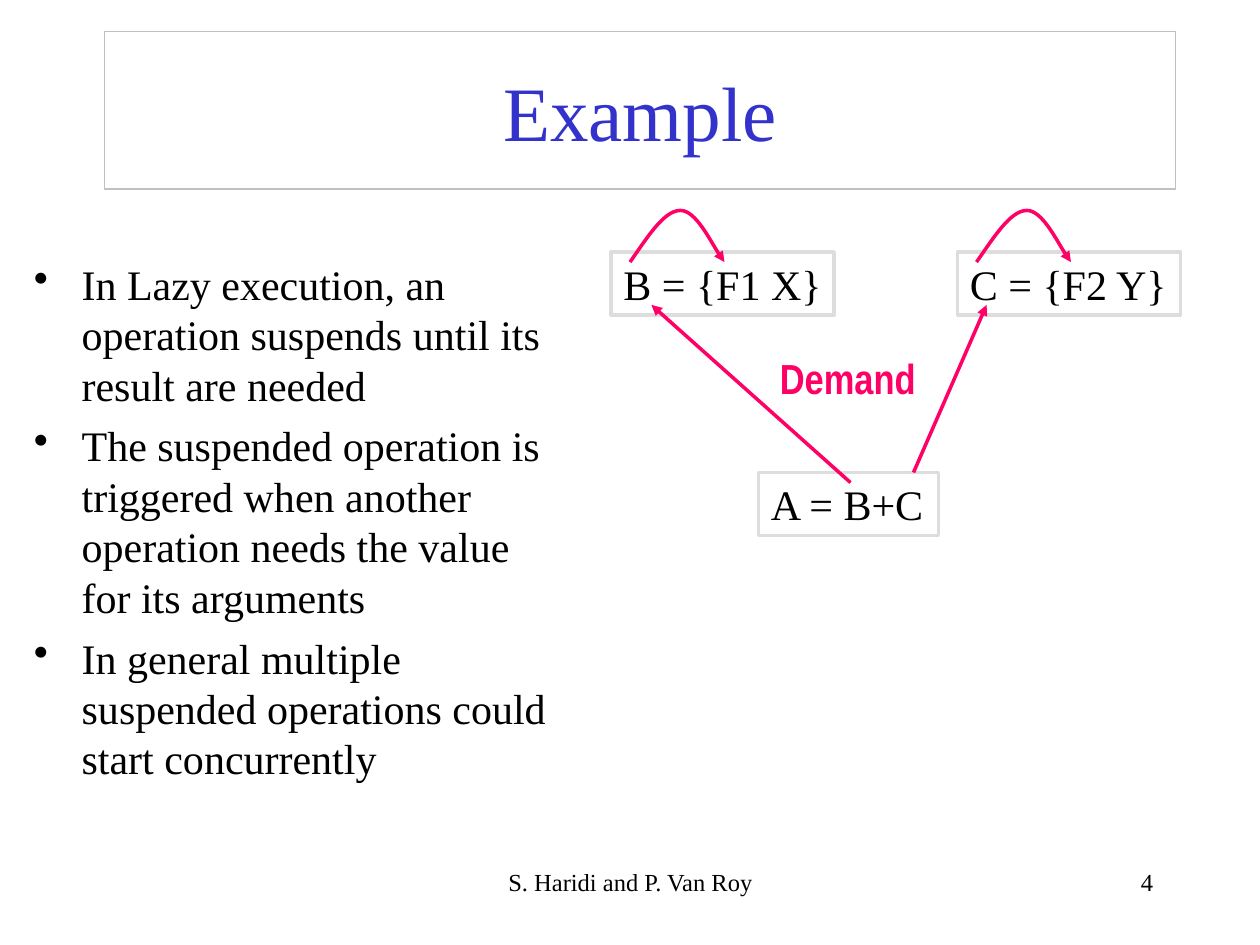
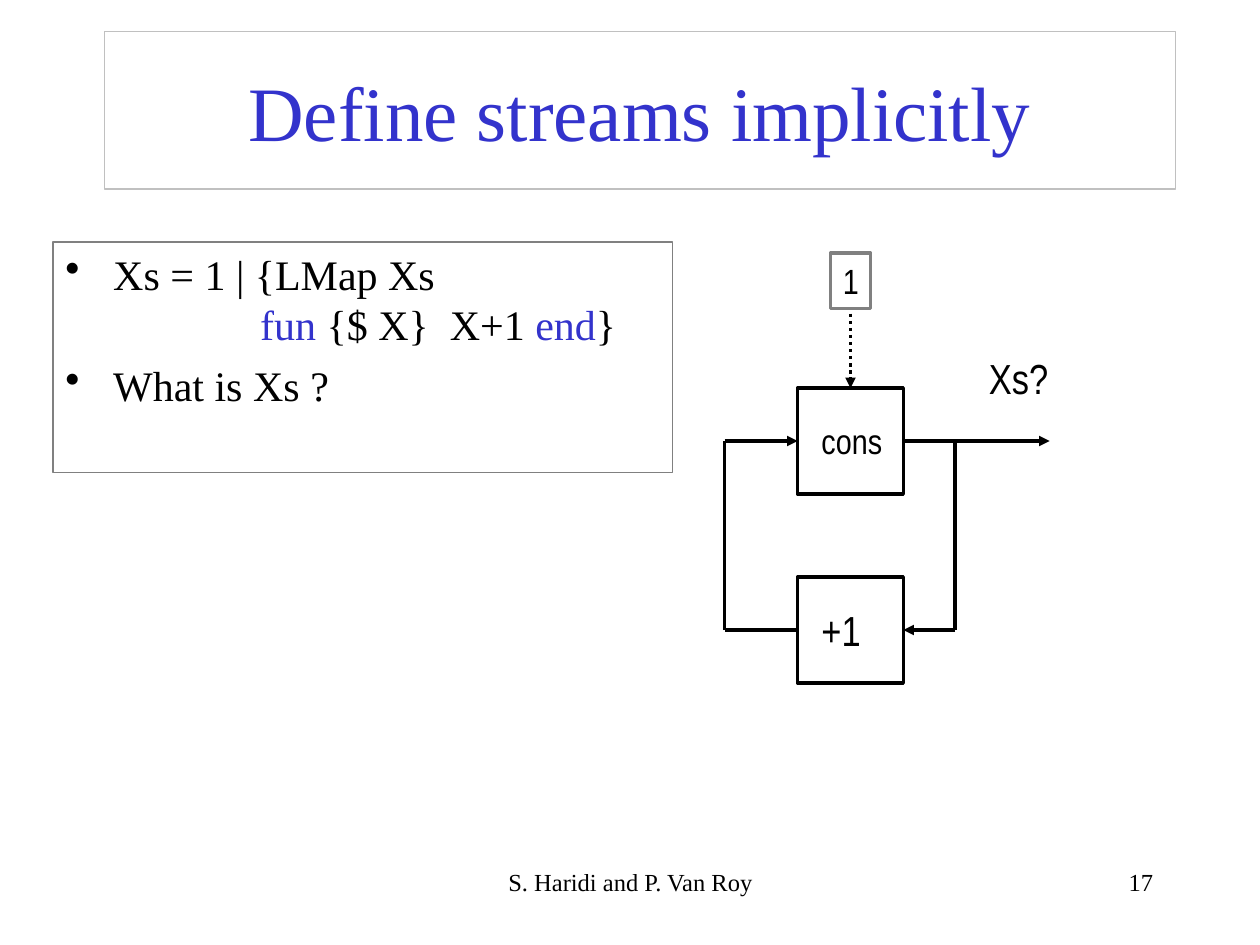
from dataclasses import dataclass

from lxml import etree
from pptx import Presentation
from pptx import util as u
from pptx.dml.color import RGBColor
from pptx.enum import dml, shapes, text
from pptx.oxml.ns import qn


@dataclass(frozen=True)
class Theme:
    serif: str = "Times New Roman"
    narrow: str = "Arial Narrow"
    ink: str = "000000"
    accent: str = "3333CC"
    demand: str = "FF0066"
    title_line: str = "C0C0C0"
    pale_line: str = "DDDDDD"
    grey_line: str = "808080"
    title: int = 44
    body: int = 24
    label: int = 20
    footer: int = 14
    thin: float = 0.75
    thick: float = 2


T = Theme()
LEFT, CENTER, RIGHT = text.PP_ALIGN.LEFT, text.PP_ALIGN.CENTER, text.PP_ALIGN.RIGHT
TOP, MIDDLE = text.MSO_ANCHOR.TOP, text.MSO_ANCHOR.MIDDLE


def rgb(color):
    return RGBColor.from_string(color)


def inches(*values):
    return [u.Inches(v) for v in values]


def style_line(sp, color, width):
    sp.line.color.rgb = rgb(color)
    sp.line.width = u.Pt(width)


def style_font(font, size, color=T.ink, name=T.serif, bold=False):
    font.size, font.name, font.bold = u.Pt(size), name, bold
    font.color.rgb = rgb(color)


def style_frame(tf, wrap=True, anchor=TOP, left=0.1, right=0.1):
    tf.word_wrap, tf.vertical_anchor = wrap, anchor
    tf.auto_size = text.MSO_AUTO_SIZE.NONE
    tf.margin_left, tf.margin_right = inches(left, right)
    tf.margin_top = tf.margin_bottom = u.Inches(0.05)


# Text and boxes

def write(sp, words, size, color=T.ink, name=T.serif, bold=False, align=LEFT, **frame):
    tf = sp.text_frame
    tf.text = words
    style_frame(tf, **frame)
    p = tf.paragraphs[0]
    p.alignment = align
    style_font(p.runs[0].font, size, color, name, bold)


def add_label(s, at, words, size, **look):
    write(s.shapes.add_textbox(*inches(*at)), words, size, **look)


def add_box(s, at, line, width=T.thick):
    sp = s.shapes.add_shape(shapes.MSO_SHAPE.RECTANGLE, *inches(*at))
    sp.shadow.inherit = False
    sp.fill.background()
    style_line(sp, line, width)
    return sp


def add_node(s, top, words, size):
    sp = add_box(s, (6.33, top, 0.84, 0.84), T.ink)
    write(sp, words, size, name=T.narrow, anchor=MIDDLE, left=0.19, right=0)
    return sp


def fill_bullets(sp, items):
    """Each item is a list of lines, each line a list of (words, colour)."""
    tf = sp.text_frame
    style_frame(tf)
    for i, lines in enumerate(items):
        p = tf.paragraphs[0] if i == 0 else tf.add_paragraph()
        p.alignment = LEFT
        if i:
            p.space_before = u.Pt(6)
        pPr = p._p.get_or_add_pPr()
        pPr.set("marL", str(u.Inches(0.38)))
        pPr.set("indent", str(-u.Inches(0.38)))
        etree.SubElement(pPr, qn("a:buChar")).set("char", "•")
        for j, line in enumerate(lines):
            if j:
                p.add_line_break()
            for words, color in line:
                r = p.add_run()
                r.text = words
                style_font(r.font, T.body, color)


# Lines and arrows

def add_arrowhead(sp):
    etree.SubElement(sp.line._get_or_add_ln(), qn("a:tailEnd")).set("type", "triangle")


def add_line(s, start, end, color=T.ink, arrow=True, dash=None, begin=None, finish=None):
    """begin and finish are (shape, site) pairs to join."""
    cx = s.shapes.add_connector(shapes.MSO_CONNECTOR.STRAIGHT, *inches(*start, *end))
    if begin:
        cx.begin_connect(*begin)
    if finish:
        cx.end_connect(*finish)
    style_line(cx, color, T.thick)
    if dash:
        cx.line.dash_style = dash
    if arrow:
        add_arrowhead(cx)
    etree.SubElement(cx._element.spPr, qn("a:effectLst"))


def add_arc_arrow(s, x, y):
    """Curved hop to the right, starting at x, y."""
    hop = [(0.14, -0.2), (0.27, -0.41), (0.4, -0.41),
           (0.52, -0.41), (0.69, -0.07), (0.75, 0)]
    fb = s.shapes.build_freeform(u.Inches(x), u.Inches(y))
    fb.add_line_segments([inches(x + dx, y + dy) for dx, dy in hop], close=False)
    sp = fb.convert_to_shape()
    sp.shadow.inherit = False
    sp.fill.background()
    style_line(sp, T.demand, T.thick)
    add_arrowhead(sp)
    # Every three straight segments become one cubic curve
    segments = sp._element.xpath(".//a:lnTo")
    for i in range(0, len(segments), 3):
        curve = etree.Element(qn("a:cubicBezTo"))
        segments[i].addprevious(curve)
        for segment in segments[i:i + 3]:
            curve.append(segment[0])
            segment.getparent().remove(segment)


# Slides

def add_slide(prs, title, number):
    s = prs.slides.add_slide(prs.slide_layouts[5])
    sp = s.shapes.title
    sp.left, sp.top, sp.width, sp.height = inches(0.83, 0.25, 8.5, 1.25)
    style_line(sp, T.title_line, T.thin)
    write(sp, title, T.title, T.accent, align=CENTER, anchor=MIDDLE)
    add_label(s, (3.42, 6.83, 3.17, 0.5), "S. Haridi and P. Van Roy", T.footer, align=CENTER)
    add_label(s, (7.17, 6.83, 2.08, 0.5), str(number), T.footer, align=RIGHT)
    return s


def build_example(prs):
    s = add_slide(prs, "Example", 4)
    points = ["In Lazy execution, an operation suspends until its result are needed",
              "The suspended operation is triggered when another operation needs "
              "the value for its arguments",
              "In general multiple suspended operations could start concurrently"]
    body = s.shapes.add_textbox(*inches(0.17, 2, 4.4, 4.58))
    fill_bullets(body, [[[(point, T.ink)]] for point in points])

    # Suspended operations and the one that needs them
    for at, words in [((4.85, 2, 1.77, 0.5), "B = {F1 X}"),
                      ((7.6, 2, 1.77, 0.5), "C = {F2 Y}"),
                      ((6.02, 3.75, 1.43, 0.5), "A = B+C")]:
        write(add_box(s, at, T.pale_line), words, T.body, wrap=False)

    # Demand arrows
    add_line(s, (6.75, 3.83), (5.17, 2.42), T.demand)
    add_line(s, (7.25, 3.75), (7.83, 2.42), T.demand)
    for x in (5, 7.75):
        add_arc_arrow(s, x, 2.08)
    add_label(s, (6.09, 2.75, 1.28, 0.5), "Demand", T.body, color=T.demand,
              name=T.narrow, bold=True, wrap=False)


def build_streams(prs):
    s = add_slide(prs, "Define streams implicitly", 17)
    code = add_box(s, (0.42, 1.92, 4.92, 1.83), T.grey_line, T.thin)
    fill_bullets(code, [
        [[("Xs = 1 | {LMap Xs", T.ink)],
         [("              ", T.ink), ("fun", T.accent), (" {$ X}  X+1 ", T.ink),
          ("end", T.accent), ("}", T.ink)]],
        [[("What is Xs ?", T.ink)]],
    ])

    # Stream nodes
    cons = add_node(s, 3.08, "cons", T.label)
    plus = add_node(s, 4.58, "+1", T.body)
    first = add_box(s, (6.59, 2.01, 0.32, 0.44), T.grey_line)
    write(first, "1", T.label, name=T.narrow, wrap=False)
    add_label(s, (7.75, 2.75, 0.67, 0.5), "Xs?", T.body, name=T.narrow, wrap=False)

    # Input, output and feedback loop
    left, right, upper, lower = 5.75, 7.58, 3.5, 5
    add_line(s, (6.75, 2.49), (6.75, 3.08), dash=dml.MSO_LINE.ROUND_DOT, finish=(cons, 0))
    add_line(s, (7.17, upper), (8.33, upper), begin=(cons, 3))
    add_line(s, (right, upper), (right, lower), arrow=False)
    add_line(s, (right, lower), (7.17, lower), finish=(plus, 3))
    add_line(s, (6.33, lower), (left, lower), arrow=False, begin=(plus, 1))
    add_line(s, (left, lower), (left, upper), arrow=False)
    add_line(s, (left, upper), (6.33, upper), finish=(cons, 1))


def main():
    prs = Presentation()
    prs.slide_width, prs.slide_height = inches(10, 7.5)
    build_example(prs)
    build_streams(prs)
    prs.save("out.pptx")


if __name__ == "__main__":
    main()
